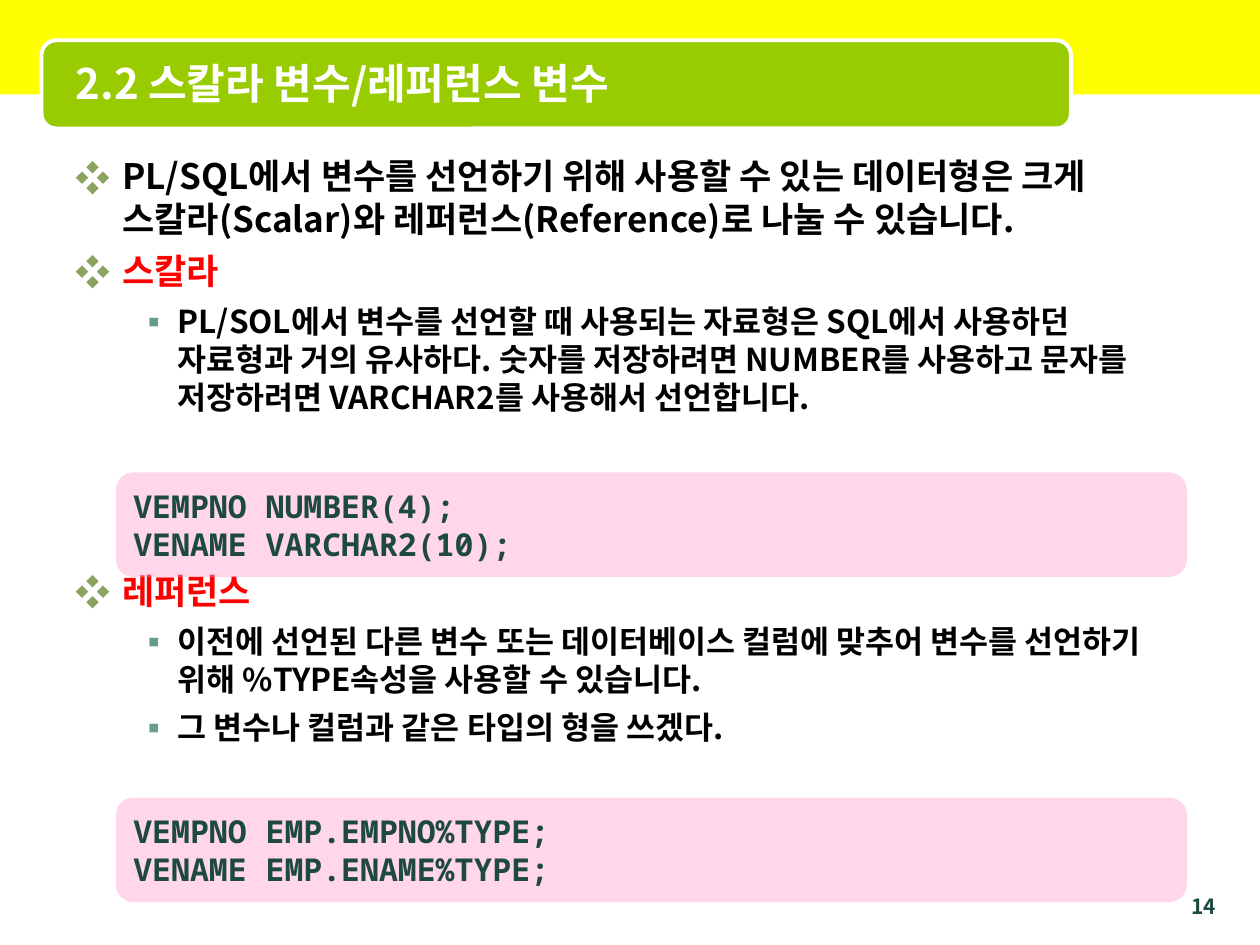
from lxml.etree import SubElement
from pptx import Presentation
from pptx.dml.color import RGBColor
from pptx.enum.shapes import MSO_SHAPE
from pptx.enum.text import MSO_ANCHOR, MSO_AUTO_SIZE, PP_ALIGN
from pptx.oxml.ns import qn
from pptx.util import Inches, Pt

SANS, MONO = "Noto Sans CJK KR", "Noto Sans Mono"
BULLETS = [("❖", "8CA35F", 0.37, 0.37, 20), ("▪", "669E86", 0.81, 0.31, 18)]
BODY = [
    (0, "PL/SQL에서 변수를 선언하기 위해 사용할 수 있는 데이터형은 크게 "
        "스칼라(Scalar)와 레퍼런스(Reference)로 나눌 수 있습니다.", "000000", 6),
    (0, "스칼라", "FF0000", 6),
    (1, "PL/SOL에서 변수를 선언할 때 사용되는 자료형은 SQL에서 사용하던 "
        "자료형과 거의 유사하다. 숫자를 저장하려면 NUMBER를 사용하고 문자를 "
        "저장하려면 VARCHAR2를 사용해서 선언합니다.", "000000", 6),
    (0, "레퍼런스", "FF0000", 88),
    (1, "이전에 선언된 다른 변수 또는 데이터베이스 컬럼에 맞추어 변수를 "
        "선언하기 위해 %TYPE속성을 사용할 수 있습니다.", "000000", 6),
    (1, "그 변수나 컬럼과 같은 타입의 형을 쓰겠다.", "000000", 6),
]


def rgb(value):
    """Turn a hex string into a colour."""
    return RGBColor.from_string(value)


def place(sp, box):
    """Move and size a shape to a box in inches."""
    sp.left, sp.top, sp.width, sp.height = (Inches(v) for v in box)


def write(p, text, size=18, color="000000", font=SANS, align=PP_ALIGN.LEFT):
    """Write one bold run into a paragraph."""
    p.alignment = align
    r = p.add_run()
    r.text = text
    r.font.size, r.font.bold, r.font.name = Pt(size), True, font
    r.font.color.rgb = rgb(color)
    SubElement(r.font._element, qn("a:ea"), typeface=font)


def add_box(s, kind, box, fill, line=None):
    """Add a flat filled shape."""
    sp = s.shapes.add_shape(kind, *(Inches(v) for v in box))
    sp.shadow.inherit = False
    sp.fill.solid()
    sp.fill.fore_color.rgb = rgb(fill)
    if line:
        sp.line.color.rgb = rgb(line)
        sp.line.width = Pt(2.25)
    else:
        sp.line.fill.background()
    return sp


def set_bullet(p, char, color, margin, hang):
    """Give a paragraph a coloured bullet and a hanging indent."""
    pPr = p._p.get_or_add_pPr()
    pPr.set("marL", str(Inches(margin)))
    pPr.set("indent", str(-Inches(hang)))
    clr = SubElement(pPr, qn("a:buClr"))
    SubElement(clr, qn("a:srgbClr"), val=color)
    SubElement(pPr, qn("a:buFont"), typeface=SANS)
    SubElement(pPr, qn("a:buChar"), char=char)


def build_header(s, box):
    """Place the yellow band, the green banner and the title."""
    x, y, w, h = box
    band = add_box(s, MSO_SHAPE.RECTANGLE, box, "FFFF00")
    banner = add_box(s, MSO_SHAPE.ROUNDED_RECTANGLE,
                     (x + 0.33, y + 0.32, 8.17, 0.7), "99CC00", "FFFFFF")
    for i, sp in enumerate((band, banner)):
        s.shapes._spTree.insert(2 + i, sp._element)
    title = s.shapes.title
    place(title, (x + 0.5, y + 0.35, 7.92, 0.62))
    tf = title.text_frame
    tf.auto_size = MSO_AUTO_SIZE.NONE
    tf.vertical_anchor = MSO_ANCHOR.MIDDLE
    write(tf.paragraphs[0], "2.2 스칼라 변수/레퍼런스 변수", size=24, color="FFFFFF")


def build_body(s, box):
    """Fill the body placeholder with the two-level list."""
    body = s.placeholders[1]
    place(body, box)
    tf = body.text_frame
    tf.auto_size = MSO_AUTO_SIZE.NONE
    for i, (level, text, color, before) in enumerate(BODY):
        p = tf.add_paragraph() if i else tf.paragraphs[0]
        char, tint, margin, hang, size = BULLETS[level]
        p.level = level
        p.space_before = Pt(before)
        set_bullet(p, char, tint, margin, hang)
        write(p, text, size=size, color=color)


def build_code(s, box, lines):
    """Place a pink code panel."""
    sp = add_box(s, MSO_SHAPE.ROUNDED_RECTANGLE, box, "FF99CC")
    clr = sp.fill._xPr.find(qn("a:solidFill"))[0]
    SubElement(clr, qn("a:alpha"), val="40000")
    tf = sp.text_frame
    tf.word_wrap = True
    tf.vertical_anchor = MSO_ANCHOR.MIDDLE
    for i, line in enumerate(lines):
        p = tf.add_paragraph() if i else tf.paragraphs[0]
        write(p, line, color="1D4940", font=MONO)


def build_page_number(s, box):
    """Place the page number."""
    tf = s.shapes.add_textbox(*(Inches(v) for v in box)).text_frame
    tf.word_wrap = True
    write(tf.paragraphs[0], "14", size=12, color="1D4940", align=PP_ALIGN.RIGHT)


def main():
    """Build the slide and save it."""
    prs = Presentation()
    prs.slide_width, prs.slide_height = Inches(10), Inches(7.5)
    s = prs.slides.add_slide(prs.slide_layouts[1])
    build_header(s, (0, 0, 10, 0.75))
    build_body(s, (0.5, 1.18, 9, 6.14))
    build_code(s, (0.92, 3.75, 8.5, 0.83),
               ["VEMPNO NUMBER(4);", "VENAME VARCHAR2(10);"])
    build_code(s, (0.92, 6.33, 8.5, 0.83),
               ["VEMPNO EMP.EMPNO%TYPE;", "VENAME EMP.ENAME%TYPE;"])
    build_page_number(s, (9.25, 7.04, 0.5, 0.21))
    prs.save("out.pptx")


if __name__ == "__main__":
    main()
